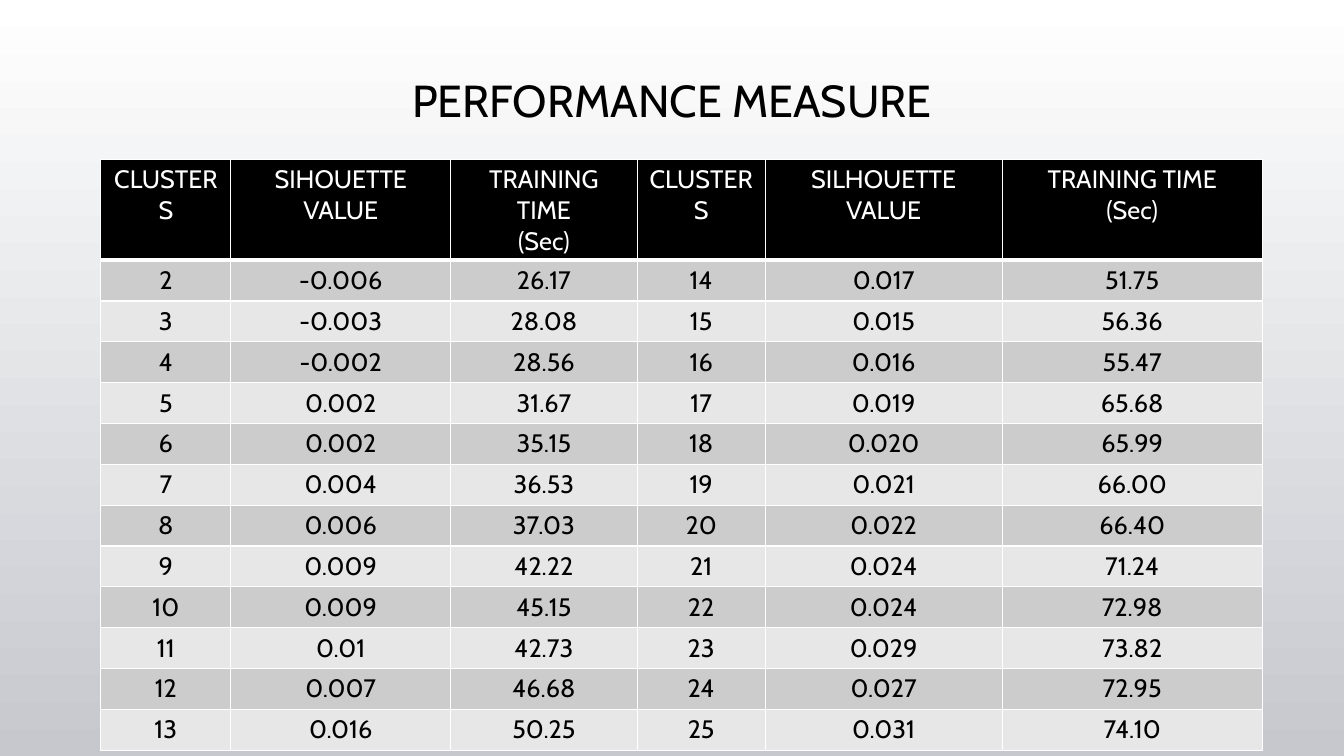
from dataclasses import dataclass
from typing import NamedTuple

from lxml import etree
from pptx import Presentation
from pptx import util as u
from pptx.dml.color import RGBColor
from pptx.enum import text
from pptx.oxml import ns


@dataclass(frozen=True)
class Theme:
    font: str = "Cabin"
    title_size: int = 32
    table_size: int = 18
    ink: str = "000000"
    paper: str = "FFFFFF"
    background_end: str = "C6C8CE"
    bands: tuple[str, str] = ("CCCCCC", "E7E7E7")
    grid_width: int = 1
    header_rule_width: int = 3


class Measure(NamedTuple):
    clusters: str
    silhouette: str
    seconds: str


@dataclass(frozen=True)
class CellStyle:
    fill: str
    color: str
    bottom_width: int


THEME = Theme()
HEADER_STYLE = CellStyle(THEME.ink, THEME.paper, THEME.header_rule_width)
BAND_STYLES = [CellStyle(band, THEME.ink, THEME.grid_width) for band in THEME.bands]

COLUMN_WIDTHS = (1.29, 2.18, 1.85, 1.27, 2.35, 2.58)
HEADERS = (
    Measure("CLUSTERS", "SIHOUETTE VALUE", "TRAINING TIME\n(Sec)"),
    Measure("CLUSTERS", "SILHOUETTE VALUE", "TRAINING TIME\n(Sec)"),
)
MEASURES = (
    Measure("2", "-0.006", "26.17"),
    Measure("3", "-0.003", "28.08"),
    Measure("4", "-0.002", "28.56"),
    Measure("5", "0.002", "31.67"),
    Measure("6", "0.002", "35.15"),
    Measure("7", "0.004", "36.53"),
    Measure("8", "0.006", "37.03"),
    Measure("9", "0.009", "42.22"),
    Measure("10", "0.009", "45.15"),
    Measure("11", "0.01", "42.73"),
    Measure("12", "0.007", "46.68"),
    Measure("13", "0.016", "50.25"),
    Measure("14", "0.017", "51.75"),
    Measure("15", "0.015", "56.36"),
    Measure("16", "0.016", "55.47"),
    Measure("17", "0.019", "65.68"),
    Measure("18", "0.020", "65.99"),
    Measure("19", "0.021", "66.00"),
    Measure("20", "0.022", "66.40"),
    Measure("21", "0.024", "71.24"),
    Measure("22", "0.024", "72.98"),
    Measure("23", "0.029", "73.82"),
    Measure("24", "0.027", "72.95"),
    Measure("25", "0.031", "74.10"),
)


def rgb(color: str) -> RGBColor:
    return RGBColor.from_string(color)


def style_paragraphs(frame, size: int, color: str) -> None:
    for para in frame.paragraphs:
        para.alignment = text.PP_ALIGN.CENTER
        para.font.name = THEME.font
        para.font.size = u.Pt(size)
        para.font.color.rgb = rgb(color)


def paint_background(page) -> None:
    fill = page.background.fill
    fill.gradient()
    fill.gradient_angle = 270
    for stop, color in zip(fill.gradient_stops, (THEME.paper, THEME.background_end)):
        stop.color.rgb = rgb(color)


def add_title(page, title: str) -> None:
    box = page.shapes.add_textbox(
        u.Inches(1), u.Inches(0.68), u.Inches(11.33), u.Inches(0.68)
    )
    frame = box.text_frame
    frame.word_wrap = True
    frame.vertical_anchor = text.MSO_ANCHOR.MIDDLE
    frame.text = title
    frame.paragraphs[0].line_spacing = 0.9
    style_paragraphs(frame, THEME.title_size, THEME.ink)


def add_borders(cell, bottom_width: int) -> None:
    properties = cell._tc.get_or_add_tcPr()
    for side in ("L", "R", "T", "B"):
        width = bottom_width if side == "B" else THEME.grid_width
        line = etree.SubElement(properties, ns.qn(f"a:ln{side}"), w=str(u.Pt(width)))
        fill = etree.SubElement(line, ns.qn("a:solidFill"))
        etree.SubElement(fill, ns.qn("a:srgbClr"), val=THEME.paper)


def fill_cell(cell, content: str, style: CellStyle) -> None:
    add_borders(cell, style.bottom_width)
    cell.fill.solid()
    cell.fill.fore_color.rgb = rgb(style.fill)
    cell.text = content
    style_paragraphs(cell.text_frame, THEME.table_size, style.color)


def add_measure_table(page) -> None:
    half = len(MEASURES) // 2
    rows = [HEADERS, *zip(MEASURES[:half], MEASURES[half:])]
    table = page.shapes.add_table(
        len(rows), len(COLUMN_WIDTHS),
        u.Inches(1), u.Inches(1.58), u.Inches(sum(COLUMN_WIDTHS)), u.Inches(5.27),
    ).table
    for column, width in zip(table.columns, COLUMN_WIDTHS):
        column.width = u.Inches(width)
    for index, (left, right) in enumerate(rows):
        style = BAND_STYLES[(index - 1) % 2] if index else HEADER_STYLE
        for cell, content in zip(table.rows[index].cells, left + right):
            fill_cell(cell, content, style)


def main() -> None:
    deck = Presentation()
    deck.slide_width = u.Inches(13.33)
    deck.slide_height = u.Inches(7.5)
    page = deck.slides.add_slide(deck.slide_layouts[6])
    paint_background(page)
    add_title(page, "PERFORMANCE MEASURE")
    add_measure_table(page)
    deck.save("out.pptx")


if __name__ == "__main__":
    main()
